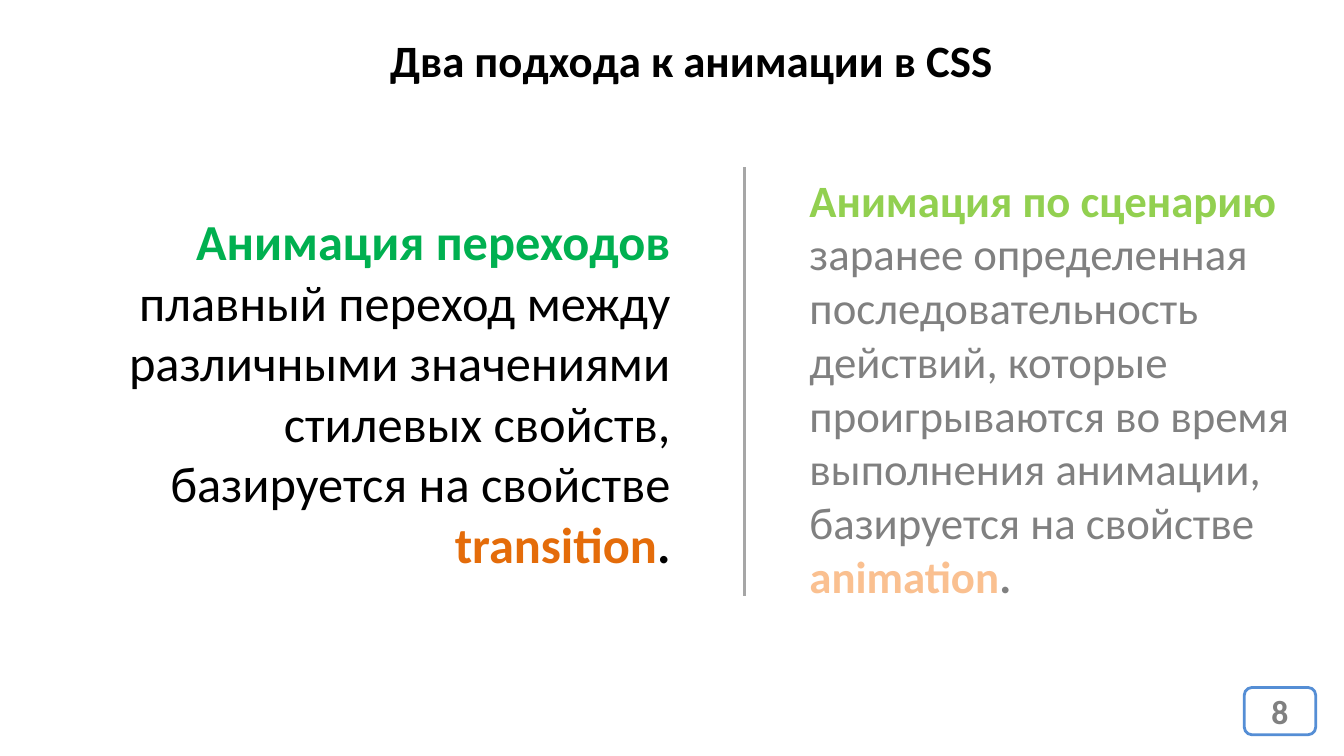
import pptx
import pptx.util
import pptx.dml.color
import pptx.enum.shapes
import pptx.enum.text

Inches = pptx.util.Inches
Pt = pptx.util.Pt
RGB = pptx.dml.color.RGBColor
ALIGN = pptx.enum.text.PP_ALIGN
ANCHOR = pptx.enum.text.MSO_ANCHOR

WHITE = RGB(0xFF, 0xFF, 0xFF)
BLACK = RGB(0x00, 0x00, 0x00)
GRAY = RGB(0x80, 0x80, 0x80)
DIVIDER = RGB(0xA6, 0xA6, 0xA6)
BLUE = RGB(0x55, 0x8E, 0xD5)
GREEN = RGB(0x00, 0xB0, 0x50)
LIME = RGB(0x92, 0xD0, 0x50)
ORANGE = RGB(0xE4, 0x6C, 0x0A)
PEACH = RGB(0xFA, 0xC0, 0x90)


def add_run(p, text, size=32, color=BLACK, bold=False):
    r = p.add_run()
    r.text = text
    r.font.name = "Calibri"
    r.font.size = Pt(size)
    r.font.bold = bold
    r.font.color.rgb = color


def add_title(s, box, text):
    tf = s.shapes.add_textbox(*map(Inches, box)).text_frame
    tf.word_wrap = False
    p = tf.paragraphs[0]
    p.alignment = ALIGN.CENTER
    add_run(p, text, bold=True)


def add_approach(s, box, name, description, prop, size, align, colors):
    name_color, text_color, prop_color = colors
    tf = s.shapes.add_textbox(*map(Inches, box)).text_frame
    tf.word_wrap = True
    p = tf.paragraphs[0]
    p.alignment = align
    add_run(p, name, size, name_color, True)
    add_run(p, f" {description} ", size, text_color)
    add_run(p, prop, size, prop_color, True)
    add_run(p, ".", size, text_color, True)


def add_divider(s, x, top, bottom):
    line = s.shapes.add_connector(
        pptx.enum.shapes.MSO_CONNECTOR.STRAIGHT,
        Inches(x), Inches(top), Inches(x), Inches(bottom))
    line.line.color.rgb = DIVIDER
    line.line.width = Pt(2.25)
    pptx.oxml.ns
    sp_pr = line._element.spPr
    sp_pr.append(pptx.oxml.parse_xml(
        '<a:effectLst xmlns:a="http://schemas.openxmlformats.org/drawingml/2006/main"/>'))


def add_page_number(s, box, number):
    sp = s.shapes.add_shape(
        pptx.enum.shapes.MSO_SHAPE.ROUNDED_RECTANGLE, *map(Inches, box))
    sp.shadow.inherit = False
    sp.fill.solid()
    sp.fill.fore_color.rgb = WHITE
    sp.line.color.rgb = BLUE
    sp.line.width = Pt(2)
    tf = sp.text_frame
    tf.vertical_anchor = ANCHOR.MIDDLE
    p = tf.paragraphs[0]
    p.alignment = ALIGN.CENTER
    add_run(p, number, 24, GRAY, True)


def build_slide(prs):
    s = prs.slides.add_slide(prs.slide_layouts[6])
    add_page_number(s, (12.34, 6.82, 0.71, 0.47), "8")
    add_title(s, (3.75, 0.28, 6.22, 0.64), "Два подхода к анимации в CSS")
    add_approach(
        s, (7.93, 1.66, 5.12, 4.41), "Анимация по сценарию",
        "заранее определенная последовательность действий, которые "
        "проигрываются во время выполнения анимации, базируется на свойстве",
        "animation", 32, ALIGN.LEFT, (LIME, GRAY, PEACH))
    add_approach(
        s, (0.75, 2.04, 6, 3.74), "Анимация переходов",
        "плавный переход между различными значениями стилевых свойств, "
        "базируется на свойстве",
        "transition", 36, ALIGN.RIGHT, (GREEN, BLACK, ORANGE))
    add_divider(s, 7.38, 1.66, 5.91)


prs = pptx.Presentation()
prs.slide_width = Inches(13.33)
prs.slide_height = Inches(7.5)
build_slide(prs)
prs.save("out.pptx")
